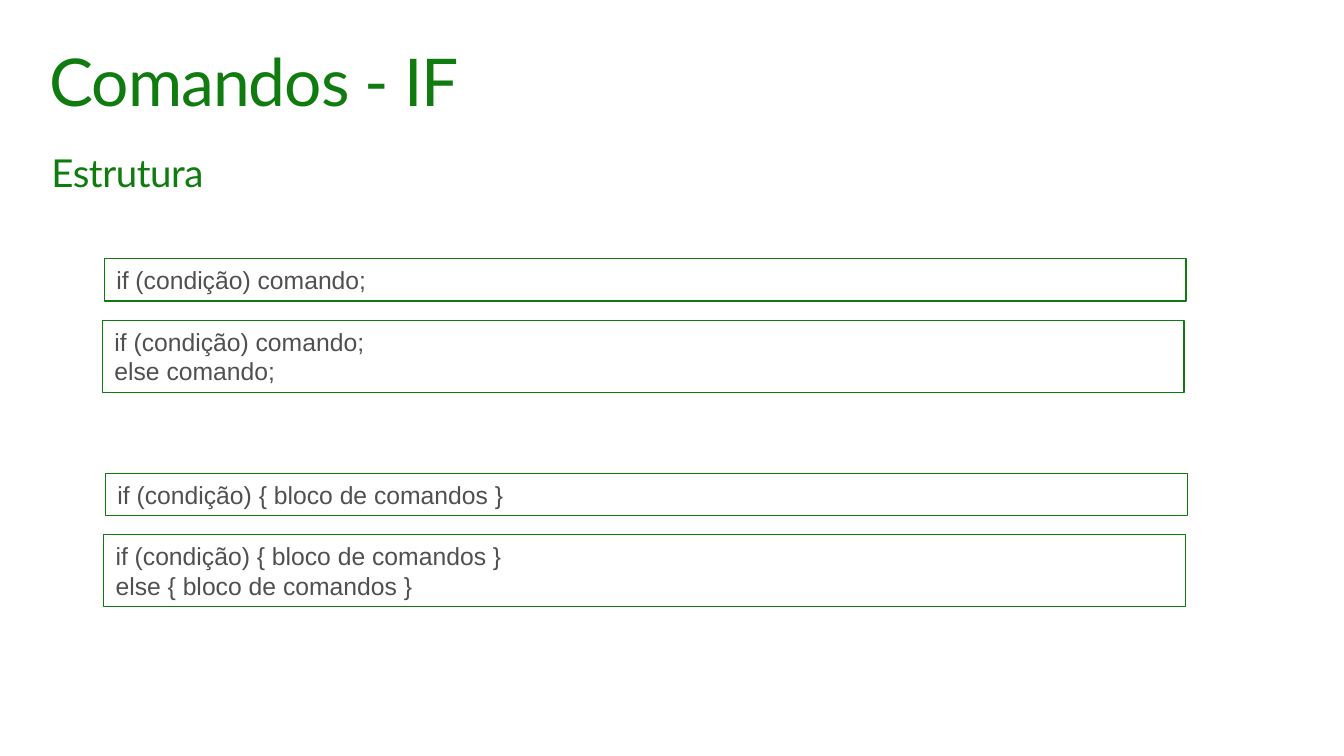
"""Builds the slide that shows the structure of the IF command."""
from dataclasses import dataclass

from lxml.etree import SubElement
from pptx import Presentation
from pptx.dml.color import RGBColor
from pptx.enum.shapes import MSO_SHAPE
from pptx.enum.text import MSO_ANCHOR, MSO_AUTO_SIZE, PP_ALIGN
from pptx.oxml.ns import qn
from pptx.util import Cm, Pt

GREEN = RGBColor(0x10, 0x7C, 0x10)
GRAY = RGBColor(0x50, 0x50, 0x50)
WHITE = RGBColor(0xFF, 0xFF, 0xFF)

BOX_WIDTH = 27.79
LINE_HEIGHT = 0.76
BOX_PADDING = 0.33


@dataclass(frozen=True)
class CodeBox:
    """A framed code example, with its position in centimetres."""
    left: float
    top: float
    lines: tuple[str, ...]


CODE_BOXES = (
    CodeBox(2.69, 6.65, ("if (condição) comando;",)),
    CodeBox(2.64, 8.23, ("if (condição) comando;", "else comando;")),
    CodeBox(2.72, 12.17, ("if (condição) { bloco de comandos }",)),
    CodeBox(2.67, 13.74, ("if (condição) { bloco de comandos }",
                          "else { bloco de comandos }")),
)


def place(shape, left: float, top: float, width: float, height: float) -> None:
    """Move and size a shape, in centimetres."""
    shape.left, shape.top = Cm(left), Cm(top)
    shape.width, shape.height = Cm(width), Cm(height)


def write_text(shape, lines: tuple[str, ...], *, size: float, font: str,
               color: RGBColor, margins: tuple[float, float] = (0.3, 0.15),
               anchor: MSO_ANCHOR = MSO_ANCHOR.TOP, line_spacing: float = 1.0,
               space_before: float = 0, tracking: int = 0) -> None:
    """Fill a shape with one left-aligned paragraph per line."""
    frame = shape.text_frame
    frame.word_wrap = True
    frame.auto_size = MSO_AUTO_SIZE.NONE
    frame.vertical_anchor = anchor
    frame.margin_left = frame.margin_right = Cm(margins[0])
    frame.margin_top = frame.margin_bottom = Cm(margins[1])
    frame.text = "\n".join(lines)
    for paragraph in frame.paragraphs:
        paragraph.alignment = PP_ALIGN.LEFT
        paragraph.line_spacing = line_spacing
        paragraph.space_before = Pt(space_before)
        for run in paragraph.runs:
            run.font.size = Pt(size)
            run.font.name = font
            run.font.color.rgb = color
            if tracking:
                run.font._element.set("spc", str(tracking))


def remove_bullets(shape) -> None:
    """Turn off the bullet and indent of every paragraph."""
    for paragraph in shape.text_frame.paragraphs:
        properties = paragraph._p.get_or_add_pPr()
        properties.set("marL", "0")
        properties.set("indent", "0")
        SubElement(properties, qn("a:buNone"))


def add_code_box(slide, box: CodeBox) -> None:
    """Draw a green frame around its lines of code."""
    height = BOX_PADDING + LINE_HEIGHT * len(box.lines)
    shape = slide.shapes.add_shape(MSO_SHAPE.RECTANGLE, Cm(box.left), Cm(box.top),
                                   Cm(BOX_WIDTH), Cm(height))
    shape.shadow.inherit = False
    shape.fill.solid()
    shape.fill.fore_color.rgb = WHITE
    shape.line.color.rgb = GREEN
    shape.line.width = Pt(0.85)
    write_text(shape, box.lines, size=18, font="Arial", color=GRAY,
               anchor=MSO_ANCHOR.MIDDLE)


def main() -> None:
    """Build and save the presentation."""
    presentation = Presentation()
    presentation.slide_width, presentation.slide_height = Cm(34.54), Cm(19.43)
    slide = presentation.slides.add_slide(presentation.slide_layouts[1])

    title = slide.shapes.title
    place(title, 1.02, 1.02, 32.51, 2.54)
    write_text(title, ("Comandos - IF",), size=48, font="Lato", color=GREEN,
               margins=(0.25, 0.25), line_spacing=0.9, tracking=-70)

    body = slide.placeholders[1]
    place(body, 1.02, 3.81, 32.51, 5.66)
    write_text(body, ("Estrutura",), size=28, font="Lato", color=GREEN,
               line_spacing=0.9, space_before=6, tracking=-30)
    remove_bullets(body)

    for box in CODE_BOXES:
        add_code_box(slide, box)
    presentation.save("out.pptx")


if __name__ == "__main__":
    main()
